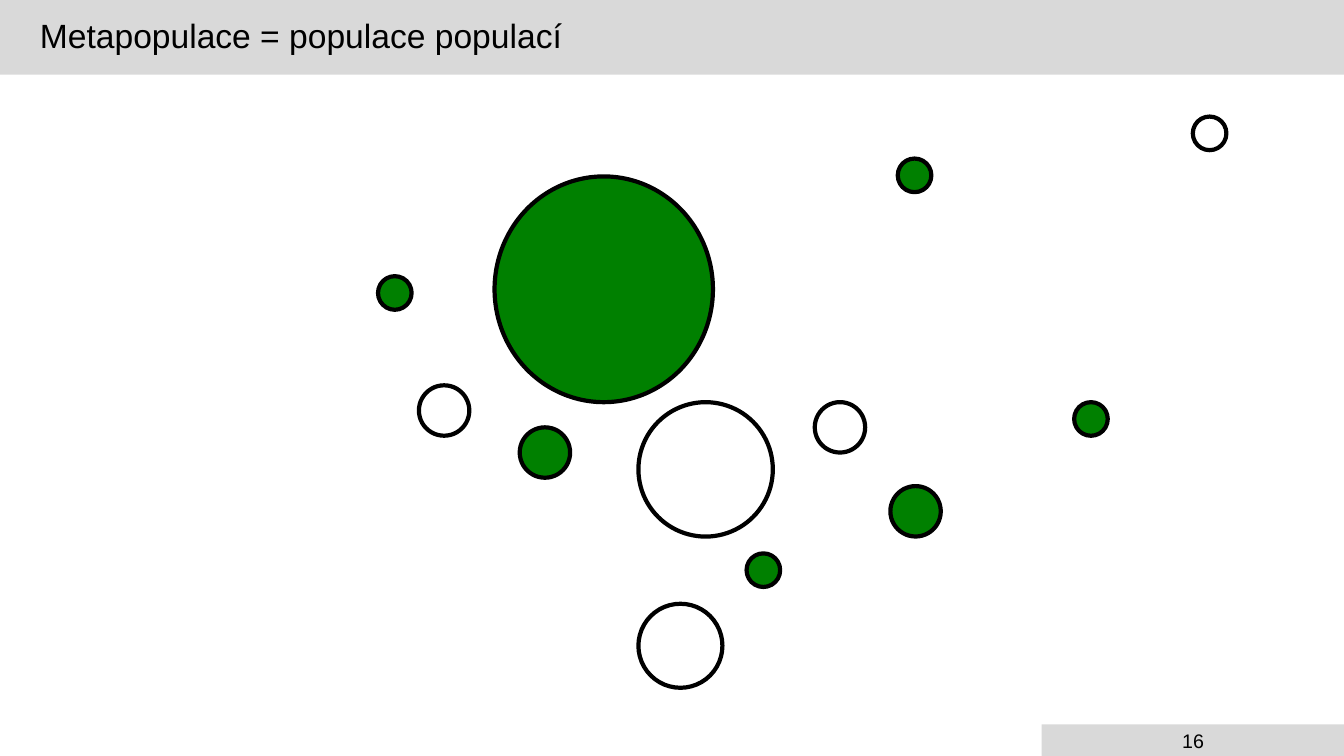
from pptx import Presentation
from pptx.dml.color import RGBColor
from pptx.enum.shapes import MSO_SHAPE as Shape
from pptx.enum.text import MSO_ANCHOR as Anchor, PP_ALIGN as Align
from pptx.util import Pt

PX = 9525
COLORS = {"bar": "D9D9D9", "occupied": "008000", "empty": "FFFFFF", "ink": "000000"}
PATCHES = [
    ("occupied", 495, 407, 48, 48),
    ("empty", 608, 383, 128, 128),
    ("occupied", 471, 168, 208, 215),
    ("occupied", 711, 527, 32, 32),
    ("occupied", 848, 463, 48, 48),
    ("empty", 776, 383, 48, 48),
    ("empty", 399, 367, 48, 48),
    ("empty", 608, 575, 80, 80),
    ("occupied", 855, 151, 32, 32),
    ("occupied", 1023, 383, 32, 32),
    ("occupied", 360, 263, 32, 32),
    ("empty", 1136, 111, 32, 32),
]


def color(name):
    return RGBColor.from_string(COLORS[name])


def add_filled(page, kind, fill, left, top, width, height):
    shape = page.shapes.add_shape(kind, left * PX, top * PX, width * PX, height * PX)
    shape.shadow.inherit = False
    shape.fill.solid()
    shape.fill.fore_color.rgb = color(fill)
    shape.line.fill.background()
    return shape


def write_text(box, text, size=14, align=Align.CENTER, inset=10, spacing=1.0):
    frame = box.text_frame
    frame.word_wrap = True
    frame.vertical_anchor = Anchor.MIDDLE
    frame.margin_left = inset * PX
    frame.margin_top = frame.margin_bottom = 0
    para = frame.paragraphs[0]
    para.alignment = align
    para.line_spacing = spacing
    span = para.add_run()
    span.text = text
    span.font.name = "Arial"
    span.font.size = Pt(size)
    span.font.color.rgb = color("ink")


def add_bar(page, left, top, width, height, text, **text_format):
    bar = add_filled(page, Shape.RECTANGLE, "bar", left, top, width, height)
    write_text(bar, text, **text_format)


def add_patch(page, state, left, top, width, height):
    patch = add_filled(page, Shape.OVAL, state, left, top, width, height)
    patch.line.color.rgb = color("ink")
    patch.line.width = Pt(3)


def main():
    deck = Presentation()
    deck.slide_width = 1280 * PX
    deck.slide_height = 720 * PX
    page = deck.slides.add_slide(deck.slide_layouts[6])
    add_bar(page, 0, 0, 1280, 71, "Metapopulace = populace populací",
            size=24, align=Align.LEFT, inset=38, spacing=0.9)
    add_bar(page, 992, 690, 288, 30, "16")
    for patch in PATCHES:
        add_patch(page, *patch)
    deck.save("out.pptx")


if __name__ == "__main__":
    main()
